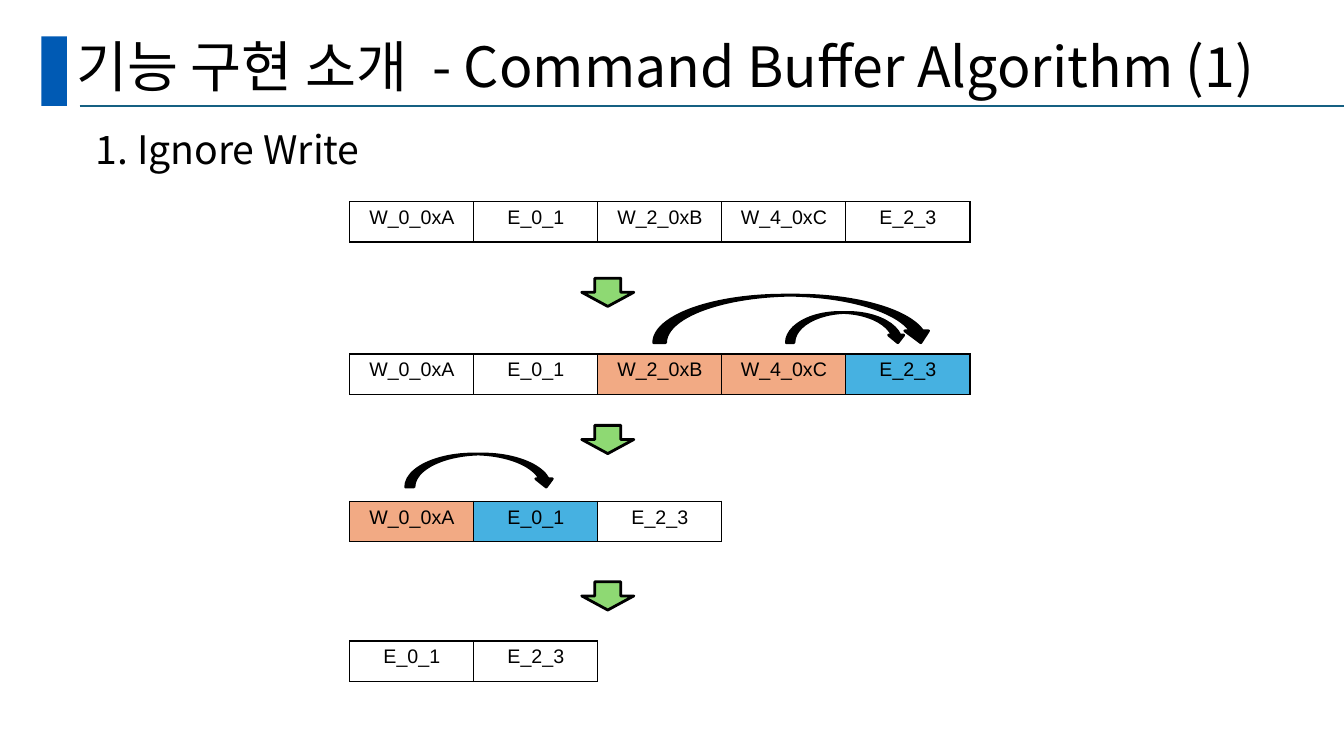
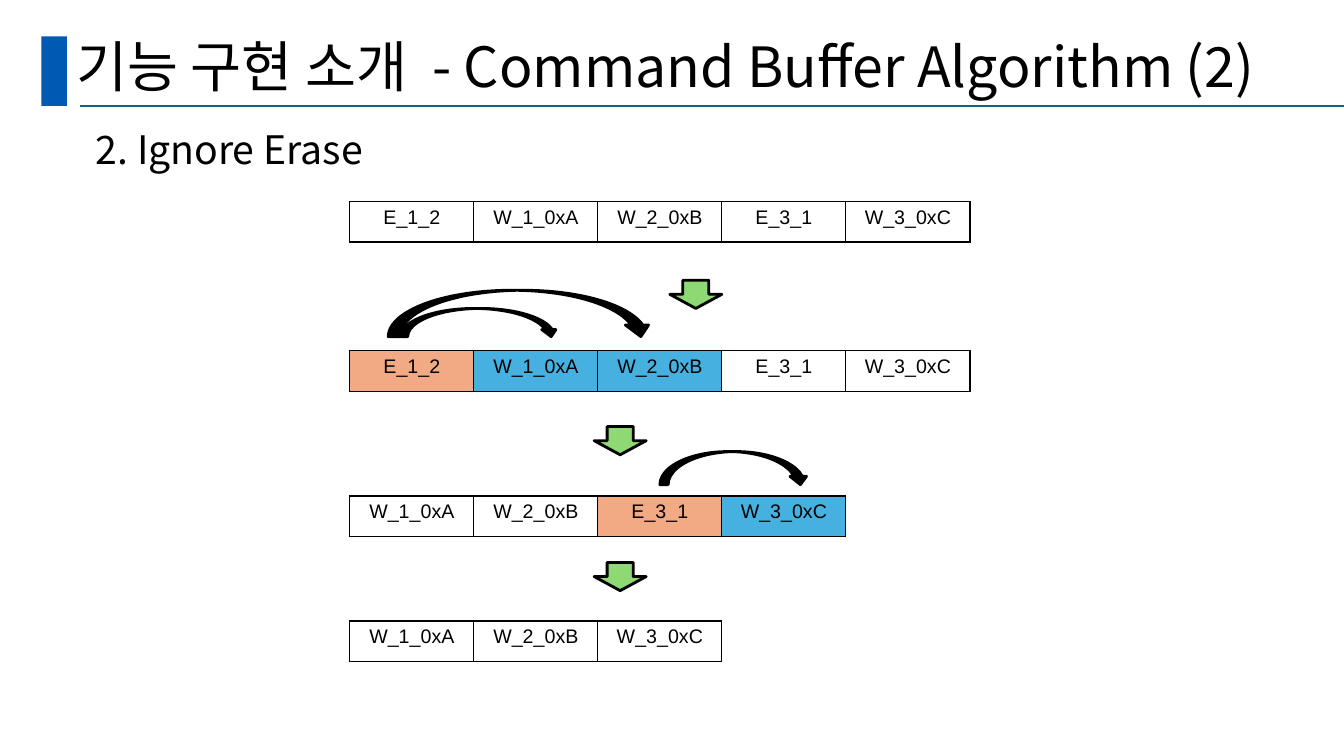
from dataclasses import dataclass

import lxml.etree
import pptx
import pptx.dml.color
import pptx.enum.shapes
import pptx.enum.text
import pptx.oxml.ns
import pptx.util

SLIDE_WIDTH = pptx.util.Inches(13.33)
SLIDE_HEIGHT = pptx.util.Inches(7.5)
GRID_LEFT = pptx.util.Inches(3.47)
COLUMN = pptx.util.Inches(1.23)
ROW = pptx.util.Inches(0.4)

BLACK = "000000"
ACCENT = "005AB4"
RULE = "156082"
STEP_GREEN = "8ED973"
CELL_FILLS = {"": "FFFFFF", "ignored": "F2AA84", "cause": "46B1E1"}
HEADING_FONT = "Noto Sans CJK KR"
CELL_FONT = "Arial"
SECTION = "기능 구현 소개"
SHAPES = pptx.enum.shapes.MSO_SHAPE


@dataclass(frozen=True)
class Command:
    label: str
    role: str = ""


@dataclass(frozen=True)
class Arc:
    column: float
    columns: float
    rows: float


@dataclass(frozen=True)
class Buffer:
    row: float
    commands: tuple[Command, ...]
    arcs: tuple[Arc, ...] = ()
    arc_gap: float = 0


@dataclass(frozen=True)
class StepArrow:
    column: float
    row: float


@dataclass(frozen=True)
class Page:
    topic: str
    rule: str
    buffers: tuple[Buffer, ...]
    steps: tuple[StepArrow, ...]


def commands(labels: str, **roles: str) -> tuple[Command, ...]:
    return tuple(Command(label, roles.get(label, "")) for label in labels.split())


PAGES = (
    Page(
        "- Command Buffer Algorithm (1)",
        "1. Ignore Write",
        (
            Buffer(5, commands("W_0_0xA E_0_1 W_2_0xB W_4_0xC E_2_3")),
            Buffer(
                8.78,
                commands("W_0_0xA E_0_1 W_2_0xB W_4_0xC E_2_3",
                         W_2_0xB="ignored", W_4_0xC="ignored", E_2_3="cause"),
                (Arc(2.45, 2.25, 1.18), Arc(3.52, 0.96, 0.75)),
                0.28,
            ),
            Buffer(
                12.43,
                commands("W_0_0xA E_0_1 E_2_3", W_0_0xA="ignored", E_0_1="cause"),
                (Arc(0.45, 1.2, 0.82),),
                0.35,
            ),
            Buffer(15.9, commands("E_0_1 E_2_3")),
        ),
        (StepArrow(1.87, 6.9), StepArrow(1.87, 10.55), StepArrow(1.87, 14.43)),
    ),
    Page(
        "- Command Buffer Algorithm (2)",
        "2. Ignore Erase",
        (
            Buffer(5, commands("E_1_2 W_1_0xA W_2_0xB E_3_1 W_3_0xC")),
            Buffer(
                8.7,
                commands("E_1_2 W_1_0xA W_2_0xB E_3_1 W_3_0xC",
                         E_1_2="ignored", W_1_0xA="cause", W_2_0xB="cause"),
                (Arc(0.41, 1.27, 0.7), Arc(0.31, 2.13, 1.15)),
                0.35,
            ),
            Buffer(
                12.3,
                commands("W_1_0xA W_2_0xB E_3_1 W_3_0xC",
                         E_3_1="ignored", W_3_0xC="cause"),
                (Arc(2.5, 1.2, 0.82),),
                0.28,
            ),
            Buffer(15.4, commands("W_1_0xA W_2_0xB W_3_0xC")),
        ),
        (StepArrow(2.58, 6.95), StepArrow(1.97, 10.58), StepArrow(1.97, 13.95)),
    ),
)


def color(value: str) -> pptx.dml.color.RGBColor:
    return pptx.dml.color.RGBColor.from_string(value)


def across(percent: float) -> int:
    return round(SLIDE_WIDTH * percent / 100)


def down(percent: float) -> int:
    return round(SLIDE_HEIGHT * percent / 100)


def on_grid(column: float, row: float, columns: float, rows: float) -> tuple[int, ...]:
    return (round(GRID_LEFT + column * COLUMN), round(row * ROW),
            round(columns * COLUMN), round(rows * ROW))


def style_run(run, font: str, size: float) -> None:
    run.font.name = font
    run.font.size = pptx.util.Pt(size)
    run.font.color.rgb = color(BLACK)
    east_asian = lxml.etree.SubElement(
        run.font._element, pptx.oxml.ns.qn("a:ea"))
    east_asian.set("typeface", font)


def add_shape(slide, kind, box: tuple[int, ...], fill: str, outline: str = "") -> None:
    shape = slide.shapes.add_shape(kind, *box)
    shape.shadow.inherit = False
    shape.fill.solid()
    shape.fill.fore_color.rgb = color(fill)
    if outline:
        shape.line.color.rgb = color(outline)
        shape.line.width = pptx.util.Pt(2)
    else:
        shape.line.fill.background()


def add_heading(slide, box: tuple[int, ...], parts: tuple[str, ...], size: float, anchor):
    frame = slide.shapes.add_textbox(*box).text_frame
    frame.word_wrap = True
    frame.vertical_anchor = anchor
    paragraph = frame.paragraphs[0]
    paragraph.line_spacing = 0.9
    for part in parts:
        run = paragraph.add_run()
        run.text = part
        style_run(run, HEADING_FONT, size)
    return paragraph


def add_frame(slide, page: Page) -> None:
    add_shape(slide, SHAPES.RECTANGLE,
              (across(3.08), down(4.8), across(1.9), down(9.2)), ACCENT)
    underline = slide.shapes.add_connector(
        pptx.enum.shapes.MSO_CONNECTOR.STRAIGHT,
        across(5.93), down(14), across(100), down(14))
    underline.line.color.rgb = color(RULE)
    underline.line.width = pptx.util.Pt(1.5)
    lxml.etree.SubElement(underline._element.spPr, pptx.oxml.ns.qn("a:effectLst"))

    anchors = pptx.enum.text.MSO_ANCHOR
    title = add_heading(
        slide, (across(4.95), down(4.53), across(93.23), down(9.47)),
        (SECTION, " ", page.topic), 39.6, anchors.MIDDLE)
    title.runs[1].font._element.set("spc", "890")
    add_heading(
        slide, (across(6.38), down(16.67), across(86), down(8)),
        (page.rule,), 28, anchors.TOP)


def add_borders(cell) -> None:
    properties = cell._tc.get_or_add_tcPr()
    for side in ("a:lnL", "a:lnR", "a:lnT", "a:lnB"):
        border = lxml.etree.SubElement(properties, pptx.oxml.ns.qn(side))
        border.set("w", str(pptx.util.Pt(1)))
        fill = lxml.etree.SubElement(border, pptx.oxml.ns.qn("a:solidFill"))
        lxml.etree.SubElement(fill, pptx.oxml.ns.qn("a:srgbClr")).set("val", BLACK)


def add_buffer(slide, buffer: Buffer) -> None:
    count = len(buffer.commands)
    table = slide.shapes.add_table(1, count, *on_grid(0, buffer.row, count, 1)).table
    table.first_row = False
    table.horz_banding = False
    for index, command in enumerate(buffer.commands):
        table.columns[index].width = COLUMN
        cell = table.cell(0, index)
        add_borders(cell)
        cell.fill.solid()
        cell.fill.fore_color.rgb = color(CELL_FILLS[command.role])
        paragraph = cell.text_frame.paragraphs[0]
        paragraph.text = command.label
        paragraph.alignment = pptx.enum.text.PP_ALIGN.CENTER
        style_run(paragraph.runs[0], CELL_FONT, 14)
    for arc in buffer.arcs:
        top = buffer.row - buffer.arc_gap - arc.rows
        add_shape(slide, SHAPES.CURVED_DOWN_ARROW,
                  on_grid(arc.column, top, arc.columns, arc.rows), BLACK, BLACK)


def build_page(deck, page: Page) -> None:
    slide = deck.slides.add_slide(deck.slide_layouts[6])
    add_frame(slide, page)
    for buffer in page.buffers:
        add_buffer(slide, buffer)
    for step in page.steps:
        add_shape(slide, SHAPES.DOWN_ARROW,
                  on_grid(step.column, step.row, 0.42, 0.7), STEP_GREEN, BLACK)


def main() -> None:
    deck = pptx.Presentation()
    deck.slide_width = SLIDE_WIDTH
    deck.slide_height = SLIDE_HEIGHT
    for page in PAGES:
        build_page(deck, page)
    deck.save("out.pptx")


if __name__ == "__main__":
    main()
